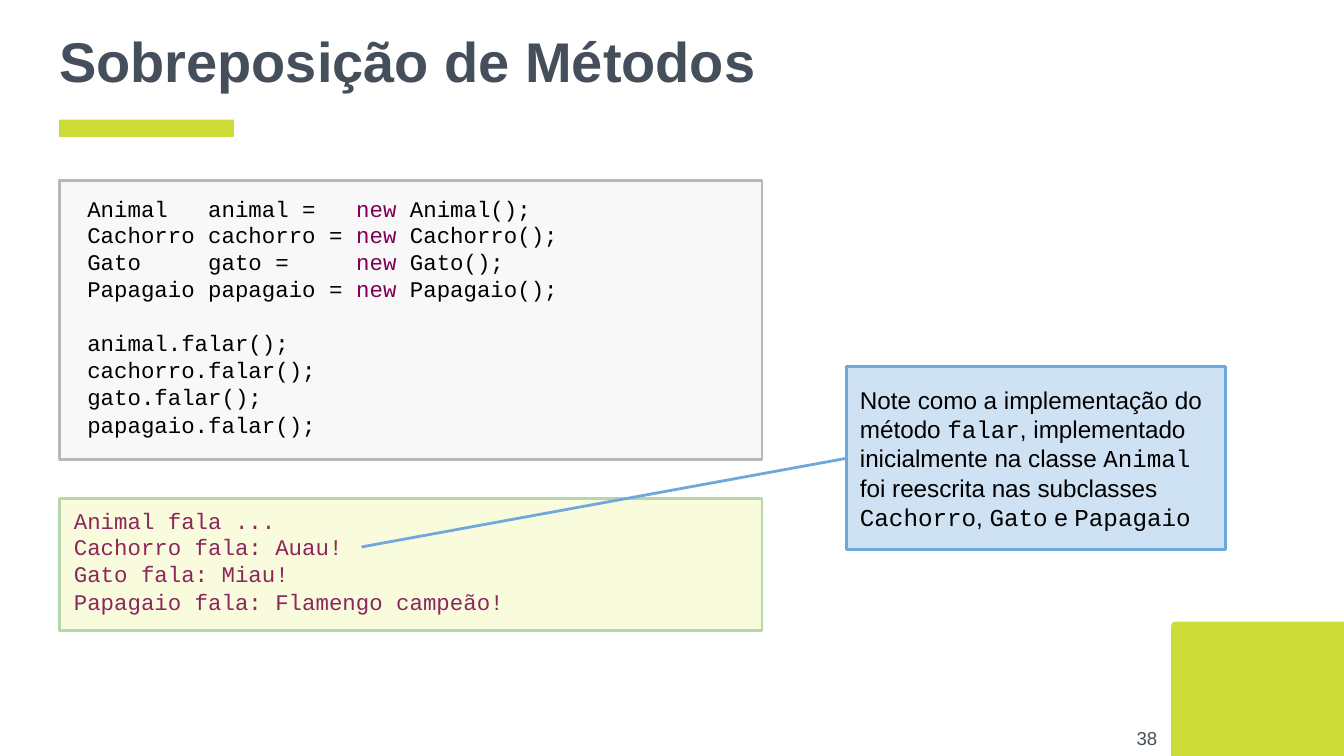
import pptx
import pptx.util
import pptx.dml.color
import pptx.enum.shapes
import pptx.enum.text
import pptx.oxml.ns
import lxml.etree

Inches = pptx.util.Inches
Pt = pptx.util.Pt
Shape = pptx.enum.shapes.MSO_SHAPE
Align = pptx.enum.text.PP_ALIGN
Anchor = pptx.enum.text.MSO_ANCHOR

SANS, MONO = "Arial", "Courier New"
LIME, SLATE, BLACK = "CDDC39", "454F5B", "000000"
BLUE, PLUM, BERRY = "6FA8DC", "7F0055", "8D265C"
LEFT, WIDE = 0.44, 5.23


def color(text):
    return pptx.dml.color.RGBColor.from_string(text)


class Deck:
    def __init__(self, show):
        self.slide = show.slides.add_slide(show.slide_layouts[5])
        self.shapes = self.slide.shapes

    def run(self, para, text, size, font=SANS, ink=BLACK, bold=False):
        run = para.add_run()
        run.text = text
        run.font.size = Pt(size)
        run.font.name = font
        run.font.bold = bold
        run.font.color.rgb = color(ink)

    def frame(self, shape, side=0.1, edge=0.1, left=None):
        """Set wrapping, middle anchor and insets; return the text frame."""
        frame = shape.text_frame
        frame.word_wrap = True
        frame.auto_size = pptx.enum.text.MSO_AUTO_SIZE.NONE
        frame.vertical_anchor = Anchor.MIDDLE
        frame.margin_left = Inches(side if left is None else left)
        frame.margin_right = Inches(side)
        frame.margin_top = frame.margin_bottom = Inches(edge)
        return frame

    def paras(self, frame, count):
        """Yield the first paragraph, then added ones, all left aligned."""
        for i in range(count):
            para = frame.add_paragraph() if i else frame.paragraphs[0]
            para.alignment = Align.LEFT
            yield para

    def title(self, text, box):
        shape = self.shapes.title
        shape.left, shape.top, shape.width, shape.height = map(Inches, box)
        para = next(self.paras(self.frame(shape), 1))
        self.run(para, text, 30, ink=SLATE, bold=True)

    def label(self, text, box):
        shape = self.shapes.add_textbox(*map(Inches, box))
        para = self.frame(shape).paragraphs[0]
        para.alignment = Align.RIGHT
        self.run(para, text, 10, ink=SLATE)

    def box(self, box, fill, line=None, kind=Shape.RECTANGLE):
        shape = self.shapes.add_shape(kind, *map(Inches, box))
        shape.shadow.inherit = False
        shape.fill.solid()
        shape.fill.fore_color.rgb = color(fill)
        if line:
            shape.line.color.rgb = color(line)
            shape.line.width = Pt(1.5)
        else:
            shape.line.fill.background()
        return shape

    def code(self, shape, blocks, ink, left=0.11):
        """Write blocks of code lines, one blank line's height apart."""
        frame = self.frame(shape, 0.11, 0.06, left)
        lines = [(line, i == 0) for block in blocks for i, line in enumerate(block)]
        for n, para in enumerate(self.paras(frame, len(lines))):
            line, first = lines[n]
            if n == 0:
                para.line_spacing = 0.7
            else:
                para.space_before = Pt(14.5 if first else 0.1)
            head, word, tail = line.partition("new")
            for text, tint in ((head, ink), (word, PLUM), (tail, ink)):
                if text:
                    self.run(para, text, 12, MONO, tint)

    def note(self, shape, texts):
        """Write paragraphs of (text, font) runs."""
        frame = self.frame(shape)
        for para, runs in zip(self.paras(frame, len(texts)), texts):
            for text, font in runs:
                self.run(para, text, 13, font)

    def line(self, start, end, ink, width):
        line = self.shapes.add_connector(
            pptx.enum.shapes.MSO_CONNECTOR.STRAIGHT, *map(Inches, start + end))
        line.line.color.rgb = color(ink)
        line.line.width = Pt(width)
        props = line._element.spPr
        lxml.etree.SubElement(props, pptx.oxml.ns.qn("a:effectLst"))


def main():
    show = pptx.Presentation()
    show.slide_width, show.slide_height = Inches(10), Inches(10 * 9 / 16)
    deck = Deck(show)

    corner = deck.box((8.86, 4.48, 1.01, 1.3), LIME, kind=Shape.ROUND_1_RECTANGLE)
    corner.adjustments[0] = 0.03
    corner.rotation = 270
    deck.box((LEFT, 0.89, 1.3, 0.13), LIME)
    deck.title("Sobreposição de Métodos", (0.34, 0, 9.32, 0.89))
    deck.label("38", (8.11, 5.28, 0.6, 0.43))

    source = deck.box((LEFT, 1.34, WIDE, 2.08), "F8F8F8", "B7B7B7")
    deck.code(source, [
        ["Animal   animal =   new Animal();",
         "Cachorro cachorro = new Cachorro();",
         "Gato     gato =     new Gato();",
         "Papagaio papagaio = new Papagaio();"],
        ["animal.falar();", "cachorro.falar();", "gato.falar();", "papagaio.falar();"],
    ], BLACK, left=0.21)

    output = deck.box((LEFT, 3.71, WIDE, 0.98), "F9FCDC", "B6D7A8")
    deck.code(output, [
        ["Animal fala ...", "Cachorro fala: Auau!", "Gato fala: Miau!",
         "Papagaio fala: Flamengo campeão!"],
    ], BERRY)

    deck.line((2.69, 4.07), (6.3, 3.41), BLUE, 1.5)
    remark = deck.box((6.3, 2.73, 2.82, 1.36), "CFE2F3", BLUE)
    deck.note(remark, [
        [("Note como a implementação do método ", SANS), ("falar", MONO),
         (", implementado inicialmente na classe ", SANS), ("Animal", MONO),
         (" foi reescrita nas subclasses", SANS)],
        [("Cachorro", MONO), (", ", SANS), ("Gato", MONO), (" e ", SANS),
         ("Papagaio", MONO)],
    ])
    show.save("out.pptx")


if __name__ == "__main__":
    main()
